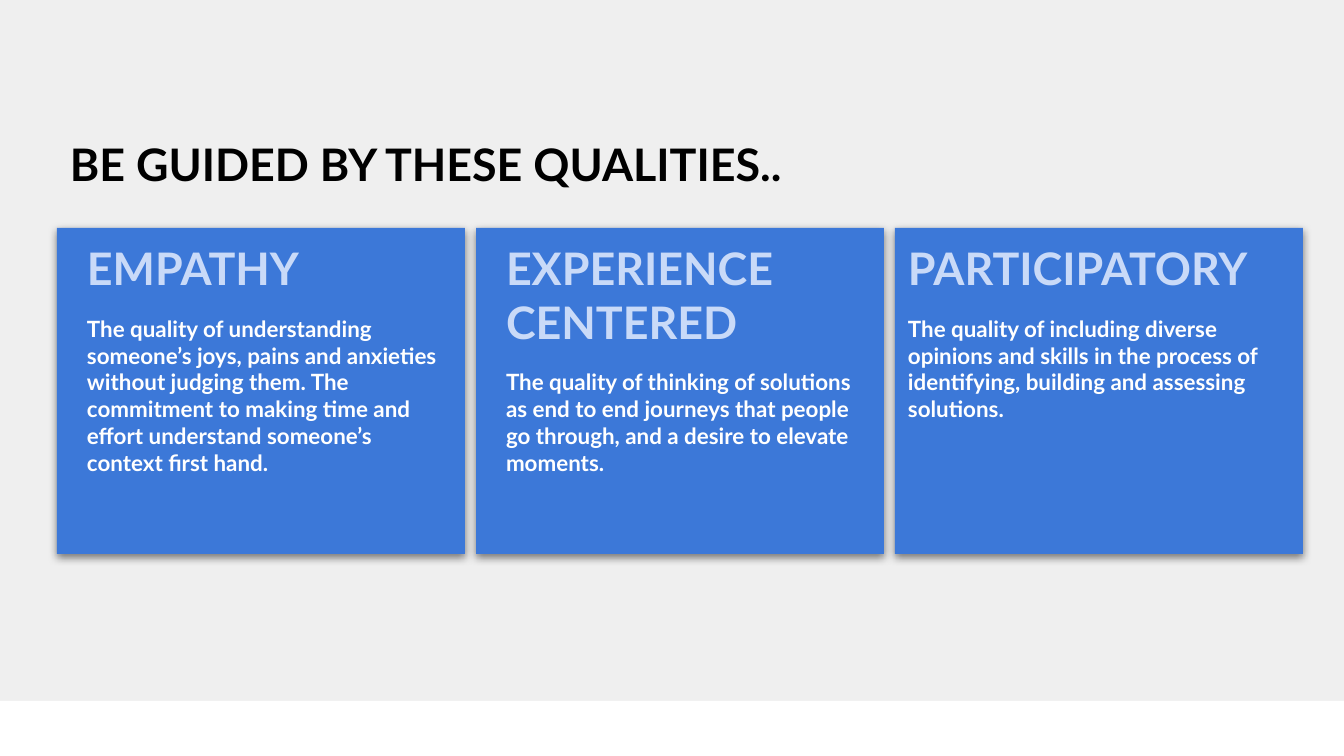
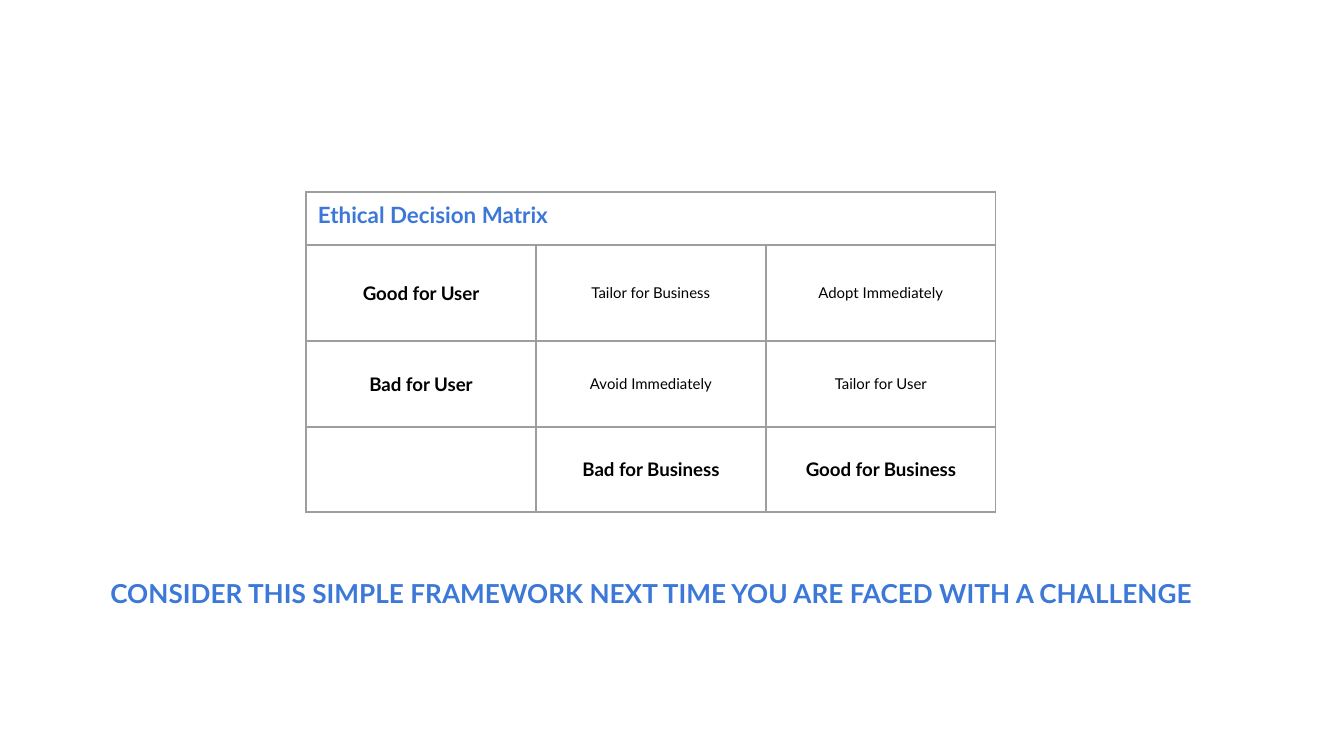
from lxml import etree
from pptx import Presentation
from pptx import util as u
from pptx.dml.color import RGBColor
from pptx.enum import shapes, text
from pptx.oxml import parse_xml
from pptx.oxml.ns import nsdecls, qn

FONT = "Lato"
BLUE, PALE_BLUE = "3C78D8", "C9DAF8"
WHITE, BLACK, GREY, RULE = "FFFFFF", "000000", "EFEFEF", "9E9E9E"
WIDTH, HEIGHT, INSET = 1344, 756, 13

QUALITIES = [
    ("EMPATHY", "The quality of understanding someone’s joys, pains and anxieties without judging them. "
     "The commitment to making time and effort understand someone’s context first hand.", 17),
    ("EXPERIENCE CENTERED", "The quality of thinking of solutions as end to end journeys that people go through, "
     "and a desire to elevate moments.", 17),
    ("PARTICIPATORY", "The quality of including diverse opinions and skills in the process of identifying, "
     "building and assessing solutions.", 0),
]
MATRIX_TITLE = "Ethical Decision Matrix"
MATRIX = [
    ("Good for User", "Tailor for Business", "Adopt Immediately"),
    ("Bad for User", "Avoid Immediately", "Tailor for User"),
    ("", "Bad for Business", "Good for Business"),
]


def px(length):
    """Turn pixels into EMU."""
    return u.Emu(round(length * 914400 / 134.4))


def colour(value):
    """Turn a hex string into a colour."""
    return RGBColor.from_string(value)


def write(para, words, size, ink, bold=True, align=text.PP_ALIGN.LEFT):
    """Add one styled run to a paragraph."""
    para.alignment = align
    span = para.add_run()
    span.text = words
    span.font.name = FONT
    span.font.size = u.Pt(size)
    span.font.bold = bold
    span.font.color.rgb = colour(ink)


def prepare(frame):
    """Set wrapping, top anchor and equal insets on a text frame."""
    frame.word_wrap = True
    frame.vertical_anchor = text.MSO_ANCHOR.TOP
    frame.margin_left = frame.margin_right = px(INSET)
    frame.margin_top = frame.margin_bottom = px(INSET)
    return frame


def add_panel(page, box, fill):
    """Add a flat rectangle without outline."""
    panel = page.shapes.add_shape(shapes.MSO_SHAPE.RECTANGLE, *map(px, box))
    panel.shadow.inherit = False
    panel.fill.solid()
    panel.fill.fore_color.rgb = colour(fill)
    panel.line.fill.background()
    return panel


def add_label(page, box, words, size, ink, align=text.PP_ALIGN.LEFT):
    """Add a text box with one bold line."""
    label = page.shapes.add_textbox(*map(px, box))
    write(prepare(label.text_frame).paragraphs[0], words, size, ink, align=align)


def add_shadow(shape):
    """Give a shape a soft shadow straight below."""
    effects = shape._element.spPr.find(qn("a:effectLst"))
    shadow = etree.SubElement(effects, qn("a:outerShdw"), blurRad="57150", dist="19050",
                              dir="5400000", algn="bl", rotWithShape="0")
    shade = etree.SubElement(shadow, qn("a:srgbClr"), val=BLACK)
    etree.SubElement(shade, qn("a:alpha"), val="50000")


def add_card(page, box, heading, body, indent):
    """Add a blue card with a heading and a description."""
    card = add_panel(page, box, BLUE)
    add_shadow(card)
    frame = prepare(card.text_frame)
    write(frame.paragraphs[0], heading, 24, PALE_BLUE)
    description = frame.add_paragraph()
    description.space_before = px(20)
    write(description, body, 12, WHITE)
    for para in frame.paragraphs:
        para._p.get_or_add_pPr().set("marL", str(px(indent)))


def style_cell(cell):
    """Give a table cell a white fill, thin rules and insets."""
    props = cell._tc.get_or_add_tcPr()
    for side in ("lnL", "lnR", "lnT", "lnB"):
        props.append(parse_xml(
            f'<a:{side} {nsdecls("a")} w="9525"><a:solidFill><a:srgbClr val="{RULE}"/>'
            f'</a:solidFill></a:{side}>'))
    cell.fill.solid()
    cell.fill.fore_color.rgb = colour(WHITE)
    cell.margin_left = cell.margin_right = px(12)
    cell.margin_top = cell.margin_bottom = px(9)


def add_matrix(page, box, heights):
    """Add the decision matrix with its merged title row."""
    grid = page.shapes.add_table(len(heights), 3, *map(px, box)).table
    grid.first_row = grid.horz_banding = False
    for column in grid.columns:
        column.width = px(box[2] // 3)
    for row, height in zip(grid.rows, heights):
        row.height = px(height)
    for cell in grid.iter_cells():
        style_cell(cell)
    grid.cell(0, 0).merge(grid.cell(0, 2))
    write(grid.cell(0, 0).text_frame.paragraphs[0], MATRIX_TITLE, 12, BLUE)
    for row, entries in enumerate(MATRIX, 1):
        for column, words in enumerate(entries):
            cell = grid.cell(row, column)
            cell.vertical_anchor = text.MSO_ANCHOR.MIDDLE
            heading = column == 0 or row == len(MATRIX)
            if words:
                write(cell.text_frame.paragraphs[0], words, 10 if heading else 8, BLACK,
                      heading, text.PP_ALIGN.CENTER)


def build_qualities(page):
    """Build the slide with three quality cards."""
    add_panel(page, (0, 0, WIDTH, HEIGHT), GREY)
    add_panel(page, (0, 701, WIDTH, HEIGHT - 701), WHITE)
    for index, quality in enumerate(QUALITIES):
        add_card(page, (57 + 419 * index, 228, 408, 326), *quality)
    add_label(page, (57, 124, 848, 103), "BE GUIDED BY THESE QUALITIES..", 24, BLACK)


def build_framework(page):
    """Build the slide with the decision matrix."""
    heights = (53, 96, 86, 85)
    add_matrix(page, (306, 192, 690, sum(heights)), heights)
    add_label(page, (69, 564, 1165, 63),
              "CONSIDER THIS SIMPLE FRAMEWORK NEXT TIME YOU ARE FACED WITH A CHALLENGE",
              14, BLUE, text.PP_ALIGN.CENTER)


def main():
    """Build and save the deck."""
    deck = Presentation()
    deck.slide_width, deck.slide_height = px(WIDTH), px(HEIGHT)
    for build in (build_qualities, build_framework):
        build(deck.slides.add_slide(deck.slide_layouts[6]))
    deck.save("out.pptx")


if __name__ == "__main__":
    main()
